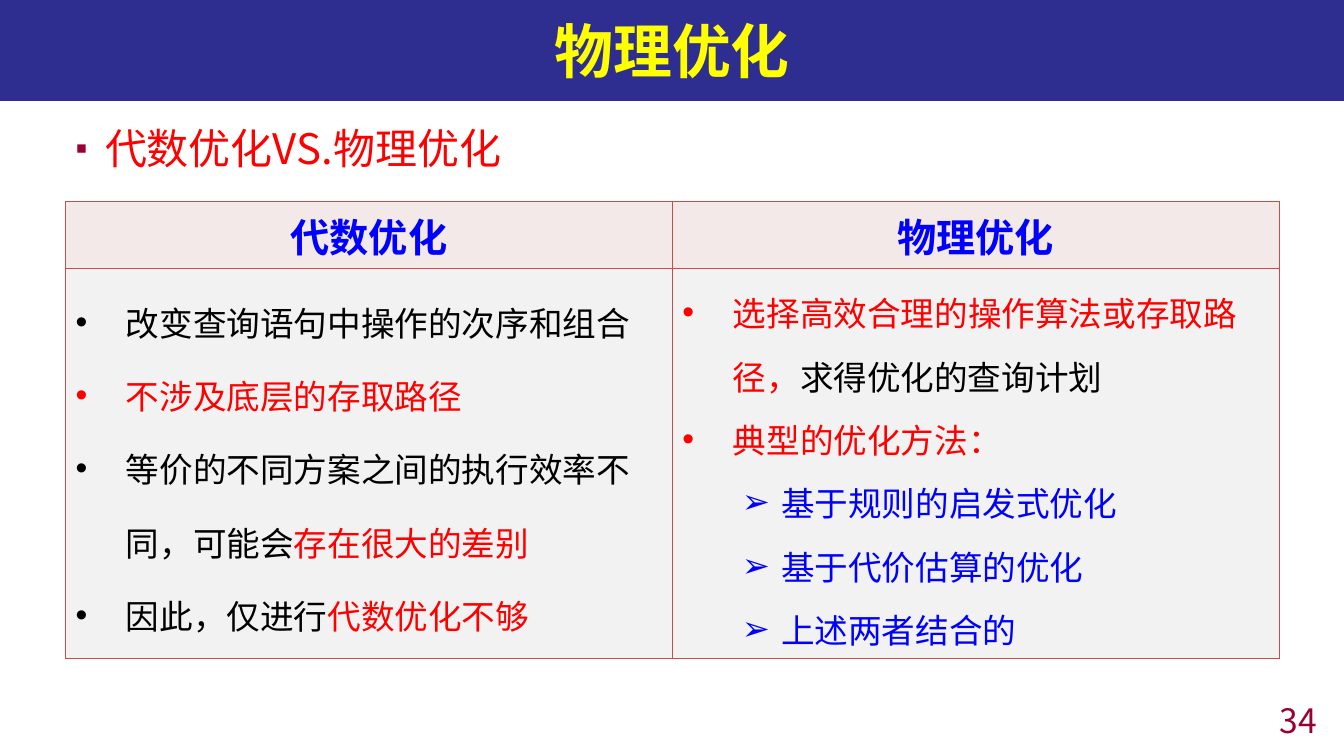
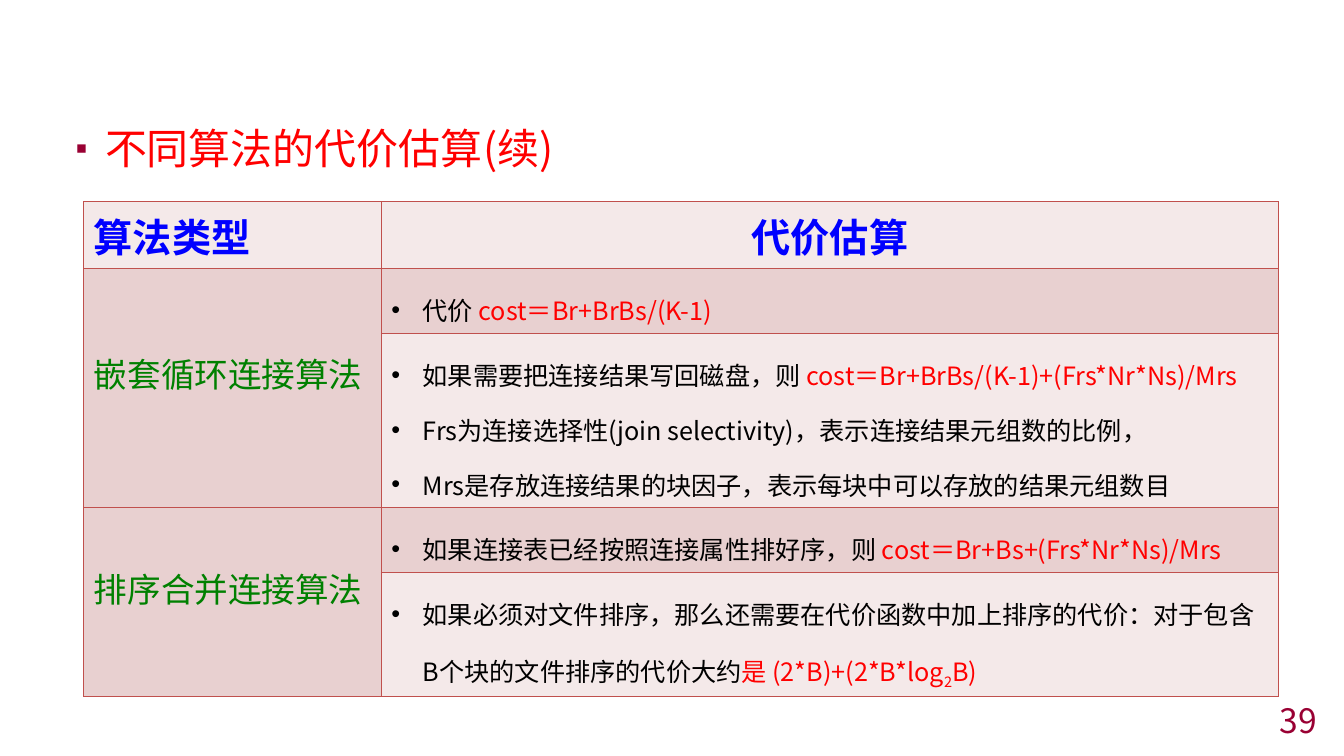
from dataclasses import dataclass
from typing import NamedTuple, Optional

from lxml.etree import SubElement
from pptx import Presentation
from pptx.dml.color import RGBColor
from pptx.enum.text import MSO_ANCHOR, MSO_AUTO_SIZE, PP_ALIGN
from pptx.oxml import parse_xml
from pptx.oxml.ns import nsdecls, qn
from pptx.util import Pt

# Shared look
FONT = "Noto Sans CJK SC"
BULLET_FONT = "Arial"
COLORS = {
    "band": "000078", "title": "FFFF00", "number": "990033", "border": "C0504D",
    "black": "000000", "red": "FF0000", "blue": "0000FF", "green": "008000",
    "head": "F4E9E9", "grey": "F2F2F2", "light": "F4E9E9", "dark": "E8D0D0",
}
FORMATS = {
    "title": {"size": Pt(42), "bold": True},
    "topic": {"size": Pt(30), "bold": False},
    "number": {"size": Pt(24), "bold": False},
    "head": {"size": Pt(28), "bold": True},
    "large": {"size": Pt(24), "bold": False},
    "small": {"size": Pt(18), "bold": False},
}
SLIDE_W, SLIDE_H = 960, 540
BODY_X, BODY_Y, BODY_W, BODY_H = 46.8, 84.2, 866.9, 430.6
TABLE_Y, HEAD_H = 144, 47.7


class Bullet(NamedTuple):
    char: str
    left: float
    hang: float
    color: Optional[str] = None
    percent: int = 100


class Run(NamedTuple):
    text: str
    color: str = "black"
    baseline: int = 0


SQUARE = Bullet("▪", 21, 21, "number", 80)
DOT = Bullet("•", 36, 36)
ARROW = Bullet("➢", 70.5, 28)
SMALL_DOT = Bullet("•", 22.3, 22.3)


@dataclass
class Para:
    runs: list[Run]
    fmt: str = "large"
    bullet: Optional[Bullet] = None
    spacing: float = 1.0
    align: PP_ALIGN = PP_ALIGN.LEFT


@dataclass
class Cell:
    row: int
    col: int
    fill: str
    paras: list[Para]
    row_span: int = 1
    top: float = 3.6


@dataclass
class Grid:
    x: float
    widths: list[float]
    heights: list[float]
    cells: list[Cell]


@dataclass
class Page:
    number: str
    topic: str
    grid: Grid
    title: Optional[str] = None


def rgb(name: str) -> RGBColor:
    return RGBColor.from_string(COLORS[name])


def add_bullet(p, bullet: Bullet) -> None:
    pPr = p._p.get_or_add_pPr()
    pPr.set("marL", str(Pt(bullet.left)))
    pPr.set("indent", str(-Pt(bullet.hang)))
    if bullet.color:
        clr = SubElement(pPr, qn("a:buClr"))
        SubElement(clr, qn("a:srgbClr"), val=COLORS[bullet.color])
    SubElement(pPr, qn("a:buSzPct"), val=str(bullet.percent * 1000))
    SubElement(pPr, qn("a:buFont"), typeface=BULLET_FONT)
    SubElement(pPr, qn("a:buChar"), char=bullet.char)


def write(tf, paras: list[Para]) -> None:
    for i, para in enumerate(paras):
        p = tf.add_paragraph() if i else tf.paragraphs[0]
        p.alignment = para.align
        p.line_spacing = para.spacing
        p.space_before = Pt(0)
        if para.bullet:
            add_bullet(p, para.bullet)
        for run in para.runs:
            r = p.add_run()
            r.text = run.text
            for name, value in FORMATS[para.fmt].items():
                setattr(r.font, name, value)
            r.font.color.rgb = rgb(run.color)
            r.font.name = FONT
            rPr = r.font._element
            SubElement(rPr, qn("a:ea"), typeface=FONT)
            if run.baseline:
                rPr.set("baseline", str(run.baseline * 1000))


def place(sp, x: float, y: float, w: float, h: float) -> None:
    sp.left, sp.top, sp.width, sp.height = Pt(x), Pt(y), Pt(w), Pt(h)


def add_title(sp, text: str) -> None:
    place(sp, 0, 0, SLIDE_W, 72)
    sp.fill.solid()
    sp.fill.fore_color.rgb = rgb("band")
    clr = sp._element.spPr.find(".//" + qn("a:srgbClr"))
    SubElement(clr, qn("a:alpha"), val="82000")
    tf = sp.text_frame
    tf.auto_size = MSO_AUTO_SIZE.NONE
    tf.vertical_anchor = MSO_ANCHOR.MIDDLE
    write(tf, [Para([Run(text, "title")], "title", align=PP_ALIGN.CENTER)])


def add_topic(sp, text: str) -> None:
    place(sp, BODY_X, BODY_Y, BODY_W, BODY_H)
    sp.text_frame.auto_size = MSO_AUTO_SIZE.NONE
    write(sp.text_frame, [Para([Run(text, "red")], "topic", SQUARE)])


def add_number(s, number: str) -> None:
    sp = s.shapes.add_textbox(Pt(744), Pt(503.3), Pt(203.8), Pt(22.3))
    tf = sp.text_frame
    tf.word_wrap = True
    tf.vertical_anchor = MSO_ANCHOR.MIDDLE
    write(tf, [Para([Run(number, "number")], "number", align=PP_ALIGN.RIGHT)])


def add_borders(cell) -> None:
    tcPr = cell._tc.get_or_add_tcPr()
    for i, side in enumerate(("lnL", "lnR", "lnT", "lnB")):
        tcPr.insert(i, parse_xml(
            f'<a:{side} {nsdecls("a")} w="{Pt(1)}"><a:solidFill>'
            f'<a:srgbClr val="{COLORS["border"]}"/></a:solidFill></a:{side}>'))


def add_grid(s, grid: Grid) -> None:
    frame = s.shapes.add_table(
        len(grid.heights), len(grid.widths), Pt(grid.x), Pt(TABLE_Y),
        Pt(sum(grid.widths)), Pt(sum(grid.heights)))
    table = frame.table
    table.first_row = table.horz_banding = False
    for column, width in zip(table.columns, grid.widths):
        column.width = Pt(width)
    for row, height in zip(table.rows, grid.heights):
        row.height = Pt(height)
    for item in grid.cells:
        cell = table.cell(item.row, item.col)
        if item.row_span > 1:
            cell.merge(table.cell(item.row + item.row_span - 1, item.col))
        cell.margin_top = Pt(item.top)
        for row in range(item.row, item.row + item.row_span):
            part = table.cell(row, item.col)
            part.fill.solid()
            part.fill.fore_color.rgb = rgb(item.fill)
            add_borders(part)
        write(cell.text_frame, item.paras)


def add_page(prs, page: Page) -> None:
    s = prs.slides.add_slide(prs.slide_layouts[1])
    title, body = s.placeholders
    if page.title:
        add_title(title, page.title)
    else:
        title._element.getparent().remove(title._element)
    add_topic(body, page.topic)
    add_number(s, page.number)
    add_grid(s, page.grid)


# Cell content
def head(col: int, text: str, align: PP_ALIGN = PP_ALIGN.CENTER) -> Cell:
    return Cell(0, col, "head", [Para([Run(text, "blue")], "head", align=align)])


def left_point(*runs: Run) -> Para:
    return Para(list(runs), "large", DOT, 1.5)


def right_point(*runs: Run, bullet: Bullet = DOT) -> Para:
    return Para(list(runs), "large", bullet, 1.3)


def cost_point(*runs: Run) -> Para:
    return Para(list(runs), "small", SMALL_DOT, 1.5)


def algorithm(row: int, text: str, top: float) -> Cell:
    return Cell(row, 0, "dark", [Para([Run(text, "green")])], 2, top)


METHODS = ["基于规则的启发式优化", "基于代价估算的优化", "上述两者结合的"]

COMPARISON = Grid(BODY_X, [BODY_W / 2] * 2, [HEAD_H, 278.5], [
    head(0, "代数优化"),
    head(1, "物理优化"),
    Cell(1, 0, "grey", [
        left_point(Run("改变查询语句中操作的次序和组合")),
        left_point(Run("不涉及底层的存取路径", "red")),
        left_point(Run("等价的不同方案之间的执行效率不同，可能会"),
                   Run("存在很大的差别", "red")),
        left_point(Run("因此，仅进行"), Run("代数优化不够", "red")),
    ]),
    Cell(1, 1, "grey", [
        right_point(Run("选择高效合理的操作算法或存取路径，", "red"),
                    Run("求得优化的查询计划")),
        right_point(Run("典型的优化方法：", "red")),
        *(right_point(Run(m, "blue"), bullet=ARROW) for m in METHODS),
    ]),
])

COSTS = Grid(59.8, [212.6, 640.8], [HEAD_H, 46.4, 124.4, 46.4, 88.6], [
    head(0, "算法类型", PP_ALIGN.LEFT),
    head(1, "代价估算"),
    algorithm(1, "嵌套循环连接算法", 57),
    Cell(1, 1, "dark", [
        cost_point(Run("代价 "), Run("cost＝Br+BrBs/(K-1)", "red")),
    ]),
    Cell(2, 1, "light", [
        cost_point(Run("如果需要把连接结果写回磁盘，则 "),
                   Run("cost＝Br+BrBs/(K-1)+(Frs*Nr*Ns)/Mrs", "red")),
        cost_point(Run("Frs为连接选择性(join selectivity)，表示连接结果元组数的比例，")),
        cost_point(Run("Mrs是存放连接结果的块因子，表示每块中可以存放的结果元组数目")),
    ]),
    algorithm(3, "排序合并连接算法", 40),
    Cell(3, 1, "dark", [
        cost_point(Run("如果连接表已经按照连接属性排好序，则 "),
                   Run("cost＝Br+Bs+(Frs*Nr*Ns)/Mrs", "red")),
    ]),
    Cell(4, 1, "light", [
        cost_point(Run("如果必须对文件排序，那么还需要在代价函数中加上排序的代价："
                       "对于包含B个块的文件排序的代价大约"),
                   Run("是 (2*B)+(2*B*log", "red"),
                   Run("2", "red", -25), Run("B)", "red")),
    ]),
])

PAGES = [
    Page("34", "代数优化VS.物理优化", COMPARISON, "物理优化"),
    Page("39", "不同算法的代价估算(续)", COSTS),
]


def main() -> None:
    prs = Presentation()
    prs.slide_width, prs.slide_height = Pt(SLIDE_W), Pt(SLIDE_H)
    for page in PAGES:
        add_page(prs, page)
    prs.save("out.pptx")


if __name__ == "__main__":
    main()
